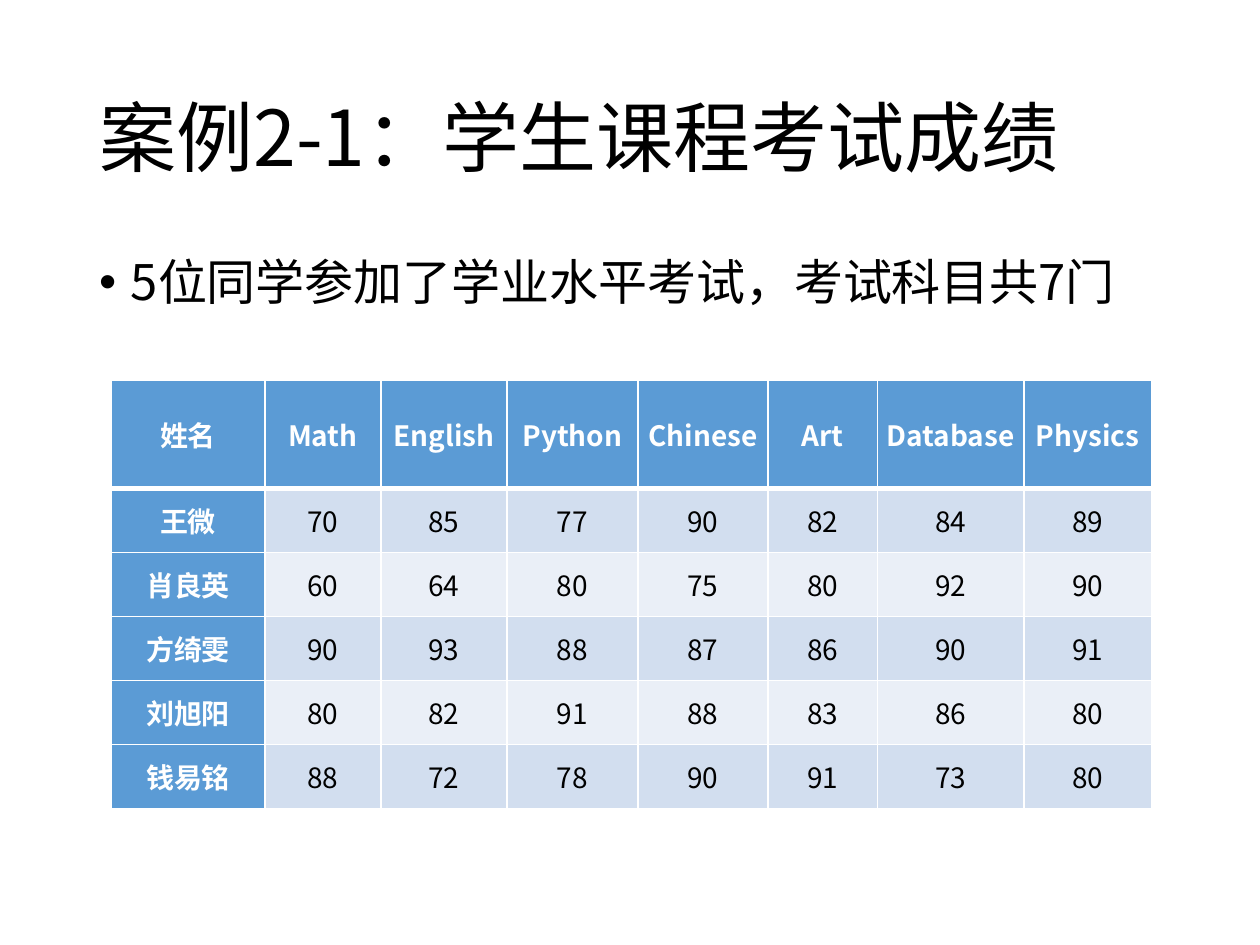
from typing import NamedTuple

from lxml.etree import SubElement
from pptx import Presentation
from pptx.dml.color import RGBColor
from pptx.enum.text import MSO_ANCHOR, MSO_AUTO_SIZE, PP_ALIGN
from pptx.oxml.ns import qn
from pptx.util import Cm, Pt

FONT = "Noto Sans CJK SC"
BLACK, WHITE, BLUE = "000000", "FFFFFF", "5B9BD5"
BANDS = ("D2DEEF", "EAEFF7")


class Student(NamedTuple):
    name: str
    scores: tuple[int, ...]


class Column(NamedTuple):
    heading: str
    width: float


COLUMNS = [
    Column("姓名", 3.1), Column("Math", 2.34), Column("English", 2.54),
    Column("Python", 2.64), Column("Chinese", 2.62), Column("Art", 2.21),
    Column("Database", 2.95), Column("Physics", 2.57),
]
STUDENTS = [
    Student("王微", (70, 85, 77, 90, 82, 84, 89)),
    Student("肖良英", (60, 64, 80, 75, 80, 92, 90)),
    Student("方绮雯", (90, 93, 88, 87, 86, 90, 91)),
    Student("刘旭阳", (80, 82, 91, 88, 83, 86, 80)),
    Student("钱易铭", (88, 72, 78, 90, 91, 73, 80)),
]
HEADER_HEIGHT, ROW_HEIGHT = 2.18, 1.29


def color(value: str) -> RGBColor:
    return RGBColor.from_string(value)


def set_font(para, size: float, fill: str = BLACK, bold: bool = False) -> None:
    font = para.font
    font.size, font.bold, font.name = Pt(size), bold, FONT
    font.color.rgb = color(fill)
    # East Asian text takes its typeface from a:ea
    latin = font._element.find(qn("a:latin"))
    east_asian = latin.makeelement(qn("a:ea"), {"typeface": FONT})
    latin.addnext(east_asian)


def add_bullet(para, indent: float) -> None:
    properties = para._p.get_or_add_pPr()
    properties.set("marL", str(Cm(indent)))
    properties.set("indent", str(-Cm(indent)))
    SubElement(properties, qn("a:buFont"), typeface="Arial")
    SubElement(properties, qn("a:buChar"), char="•")


def set_borders(cell, top: float, bottom: float) -> None:
    properties = cell._tc.get_or_add_tcPr()
    widths = {"a:lnL": 1, "a:lnR": 1, "a:lnT": top, "a:lnB": bottom}
    for index, (tag, width) in enumerate(widths.items()):
        line = properties.makeelement(qn(tag), {"w": str(Pt(width))})
        fill = SubElement(line, qn("a:solidFill"))
        SubElement(fill, qn("a:srgbClr"), val=WHITE)
        properties.insert(index, line)


def fill_cell(cell, text: str, fill: str, is_heading: bool) -> None:
    cell.text = text
    cell.vertical_anchor = MSO_ANCHOR.MIDDLE
    cell.margin_left = cell.margin_right = Cm(0.18)
    cell.margin_top = cell.margin_bottom = 0
    cell.fill.solid()
    cell.fill.fore_color.rgb = color(fill)
    para = cell.text_frame.paragraphs[0]
    para.alignment = PP_ALIGN.CENTER
    set_font(para, 16, WHITE if is_heading else BLACK, is_heading)


def add_title(page, text: str) -> None:
    title = page.shapes.title
    title.left, title.top, title.width, title.height = Cm(1.75), Cm(1.02), Cm(21.9), Cm(3.68)
    frame = title.text_frame
    frame.text = text
    frame.auto_size = MSO_AUTO_SIZE.NONE
    frame.vertical_anchor = MSO_ANCHOR.MIDDLE
    para = frame.paragraphs[0]
    para.alignment = PP_ALIGN.LEFT
    para.line_spacing = 0.9
    set_font(para, 44)


def add_statement(page, text: str) -> None:
    box = page.shapes.add_textbox(Cm(1.75), Cm(5.08), Cm(21.9), Cm(1.35))
    frame = box.text_frame
    frame.word_wrap = True
    frame.text = text
    para = frame.paragraphs[0]
    para.line_spacing = 0.9
    add_bullet(para, 0.64)
    set_font(para, 28)


def add_score_table(page) -> None:
    rows = [[column.heading for column in COLUMNS]]
    rows += [[student.name, *map(str, student.scores)] for student in STUDENTS]
    width = sum(column.width for column in COLUMNS)
    height = HEADER_HEIGHT + ROW_HEIGHT * len(STUDENTS)
    table = page.shapes.add_table(
        len(rows), len(COLUMNS), Cm(2.24), Cm(7.67), Cm(width), Cm(height)
    ).table
    table.first_col = True
    for grid_column, column in zip(table.columns, COLUMNS):
        grid_column.width = Cm(column.width)
    for r, texts in enumerate(rows):
        table.rows[r].height = Cm(ROW_HEIGHT if r else HEADER_HEIGHT)
        for c, text in enumerate(texts):
            is_heading = r == 0 or c == 0
            cell = table.cell(r, c)
            fill_cell(cell, text, BLUE if is_heading else BANDS[(r - 1) % 2], is_heading)
            # The thick rule separates the header from the scores
            set_borders(cell, top=3 if r == 1 else 1, bottom=3 if r == 0 else 1)


def main() -> None:
    deck = Presentation()
    deck.slide_width, deck.slide_height = Cm(25.4), Cm(19.05)
    page = deck.slides.add_slide(deck.slide_layouts[5])
    add_title(page, "案例2-1：学生课程考试成绩")
    add_statement(page, "5位同学参加了学业水平考试，考试科目共7门")
    add_score_table(page)
    deck.save("out.pptx")


if __name__ == "__main__":
    main()
